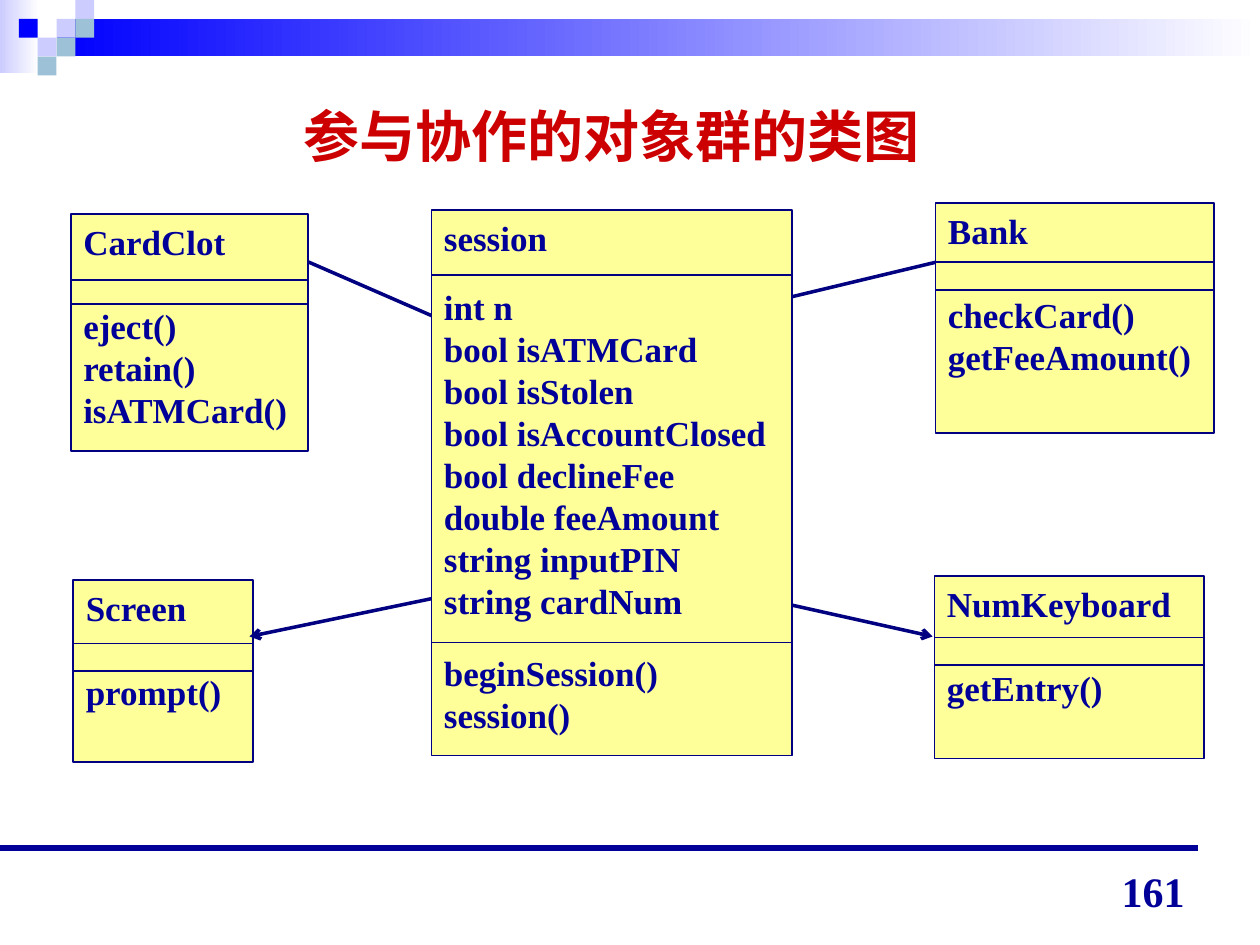
"""Build a slide with the class diagram of the collaborating objects."""
from dataclasses import dataclass
from typing import NamedTuple

import lxml.etree
import pptx
import pptx.dml.color
import pptx.enum.shapes
import pptx.enum.text
import pptx.oxml.ns
import pptx.util

Cm = pptx.util.Cm
Pt = pptx.util.Pt
Align = pptx.enum.text.PP_ALIGN
Anchor = pptx.enum.text.MSO_ANCHOR

NAVY = "000080"
INK = "000099"
BLUE = "0000FF"
LAVENDER = "CCCCFF"
TEAL = "9DC2D7"
WHITE = "FFFFFF"
SQUARE = 0.38


class Section(NamedTuple):
    gap: float
    lines: list[str]


@dataclass
class ClassBox:
    left: float
    top: float
    width: float
    height: float
    dividers: tuple[float, float]
    sections: list[Section]


class Link(NamedTuple):
    start: tuple[float, float]
    end: tuple[float, float]
    arrow: bool = False


class Square(NamedTuple):
    column: int
    row: int
    color: str


SIDE_BOXES = [
    ClassBox(1.43, 4.32, 4.78, 4.78, (5.65, 6.13), [
        Section(0, ["CardClot"]),
        Section(24, ["eject()", "retain()", "isATMCard()"])]),
    ClassBox(1.48, 11.69, 3.62, 3.68, (12.97, 13.53), [
        Section(0, ["Screen"]), Section(24, ["prompt()"])]),
    ClassBox(18.84, 11.61, 5.44, 3.68, (12.85, 13.41), [
        Section(0, ["NumKeyboard"]), Section(24, ["getEntry()"])]),
    ClassBox(18.86, 4.09, 5.62, 4.64, (5.28, 5.84), [
        Section(0, ["Bank"]),
        Section(24, ["checkCard()", "getFeeAmount()"])]),
]
SESSION_BOX = ClassBox(8.7, 4.24, 7.27, 10.99, (5.54, 12.95), [
    Section(0, ["session"]),
    Section(15.5, ["int n", "bool isATMCard", "bool isStolen",
                   "bool isAccountClosed", "bool declineFee",
                   "double feeAmount", "string inputPIN", "string cardNum"]),
    Section(17, ["beginSession()", "session()"]),
])
ASSOCIATIONS = [
    Link((8.74, 6.38), (6.1, 5.23)),
    Link((15.47, 6.1), (20.35, 4.93)),
]
ARROWS = [
    Link((8.69, 12.07), (5.03, 12.83), arrow=True),
    Link((15.97, 12.2), (18.8, 12.83), arrow=True),
]
SQUARES = [
    Square(3, 1, LAVENDER), Square(4, 0, LAVENDER), Square(4, 1, TEAL),
    Square(2, 2, LAVENDER), Square(1, 1, BLUE), Square(3, 2, TEAL),
    Square(2, 3, TEAL),
]


def rgb(value: str) -> pptx.dml.color.RGBColor:
    """Turn a hex string into a colour."""
    return pptx.dml.color.RGBColor.from_string(value)


def write(paragraph, text: str, *, size: float = 20, color: str = INK,
          font: str = "Times New Roman", align=Align.JUSTIFY,
          line_height: float | None = None, gap: float = 0) -> None:
    """Fill a paragraph with formatted bold text."""
    run = paragraph.add_run()
    run.text = text
    run.font.name = font
    run.font.size = Pt(size)
    run.font.bold = True
    run.font.color.rgb = rgb(color)
    paragraph.alignment = align
    paragraph.space_before = Pt(gap)
    if line_height is not None:
        paragraph.line_spacing = Pt(line_height)


def add_rectangle(slide, left: float, top: float, width: float, height: float,
                  color: str, fade_to: str | None = None):
    """Add a borderless rectangle, plain or fading to the right."""
    shape = slide.shapes.add_shape(
        pptx.enum.shapes.MSO_SHAPE.RECTANGLE,
        Cm(left), Cm(top), Cm(width), Cm(height))
    shape.shadow.inherit = False
    shape.line.fill.background()
    if fade_to is None:
        shape.fill.solid()
        shape.fill.fore_color.rgb = rgb(color)
    else:
        shape.fill.gradient()
        shape.fill.gradient_angle = 0
        for stop, stop_color in zip(shape.fill.gradient_stops, (color, fade_to)):
            stop.color.rgb = rgb(stop_color)
    return shape


def add_line(slide, link: Link, color: str = NAVY, width: float = 1) -> None:
    """Draw a straight line with an optional arrowhead."""
    connector = slide.shapes.add_connector(
        pptx.enum.shapes.MSO_CONNECTOR.STRAIGHT,
        *(Cm(value) for value in link.start + link.end))
    connector.line.color.rgb = rgb(color)
    connector.line.width = Pt(width)
    qn = pptx.oxml.ns.qn
    properties = connector._element.spPr
    if link.arrow:
        outline = properties.find(qn("a:ln"))
        lxml.etree.SubElement(outline, qn("a:tailEnd"), type="arrow")
    lxml.etree.SubElement(properties, qn("a:effectLst"))


def add_class_box(slide, box: ClassBox) -> None:
    """Draw a class with its compartments."""
    shape = add_rectangle(slide, box.left, box.top, box.width, box.height, "FFFF99")
    shape.line.color.rgb = rgb(NAVY)
    shape.line.width = Pt(1)
    frame = shape.text_frame
    frame.word_wrap = True
    frame.vertical_anchor = Anchor.TOP
    paragraph = frame.paragraphs[0]
    for section_index, section in enumerate(box.sections):
        for line_index, text in enumerate(section.lines):
            if section_index or line_index:
                paragraph = frame.add_paragraph()
            write(paragraph, text, line_height=24,
                  gap=section.gap if line_index == 0 else 0)
    for height in box.dividers:
        add_line(slide, Link((box.left, height), (box.left + box.width, height)))


def add_decoration(slide) -> None:
    """Draw the top band, its squares and the bottom rule."""
    add_rectangle(slide, 0, 0, 0.79, 1.47, LAVENDER, fade_to=WHITE)
    add_rectangle(slide, 1.14, 0.38, 24.26, 0.76, BLUE, fade_to=WHITE)
    for square in SQUARES:
        add_rectangle(slide, square.column * SQUARE, square.row * SQUARE,
                      SQUARE, SQUARE, square.color)
    add_line(slide, Link((0, 17.1), (24.16, 17.1)), color=INK, width=3.25)


def main() -> None:
    """Assemble and save the presentation."""
    presentation = pptx.Presentation()
    presentation.slide_width, presentation.slide_height = Cm(25.4), Cm(19.05)
    slide = presentation.slides.add_slide(presentation.slide_layouts[5])
    add_decoration(slide)

    title = slide.shapes.title
    title.left, title.top, title.width, title.height = (
        Cm(0.91), Cm(1.22), Cm(22.86), Cm(3))
    title.text_frame.vertical_anchor = Anchor.MIDDLE
    write(title.text_frame.paragraphs[0], "参与协作的对象群的类图",
          size=32, color="CC0000", font="Arial", align=Align.CENTER)

    for link in ASSOCIATIONS:
        add_line(slide, link, width=2)
    for box in SIDE_BOXES:
        add_class_box(slide, box)
    for link in ARROWS:
        add_line(slide, link, width=2)
    add_class_box(slide, SESSION_BOX)

    number = slide.shapes.add_textbox(Cm(18.21), Cm(17.32), Cm(5.92), Cm(1.27))
    number.text_frame.word_wrap = True
    number.text_frame.vertical_anchor = Anchor.BOTTOM
    write(number.text_frame.paragraphs[0], "161", size=24, align=Align.RIGHT)
    presentation.save("out.pptx")


if __name__ == "__main__":
    main()
